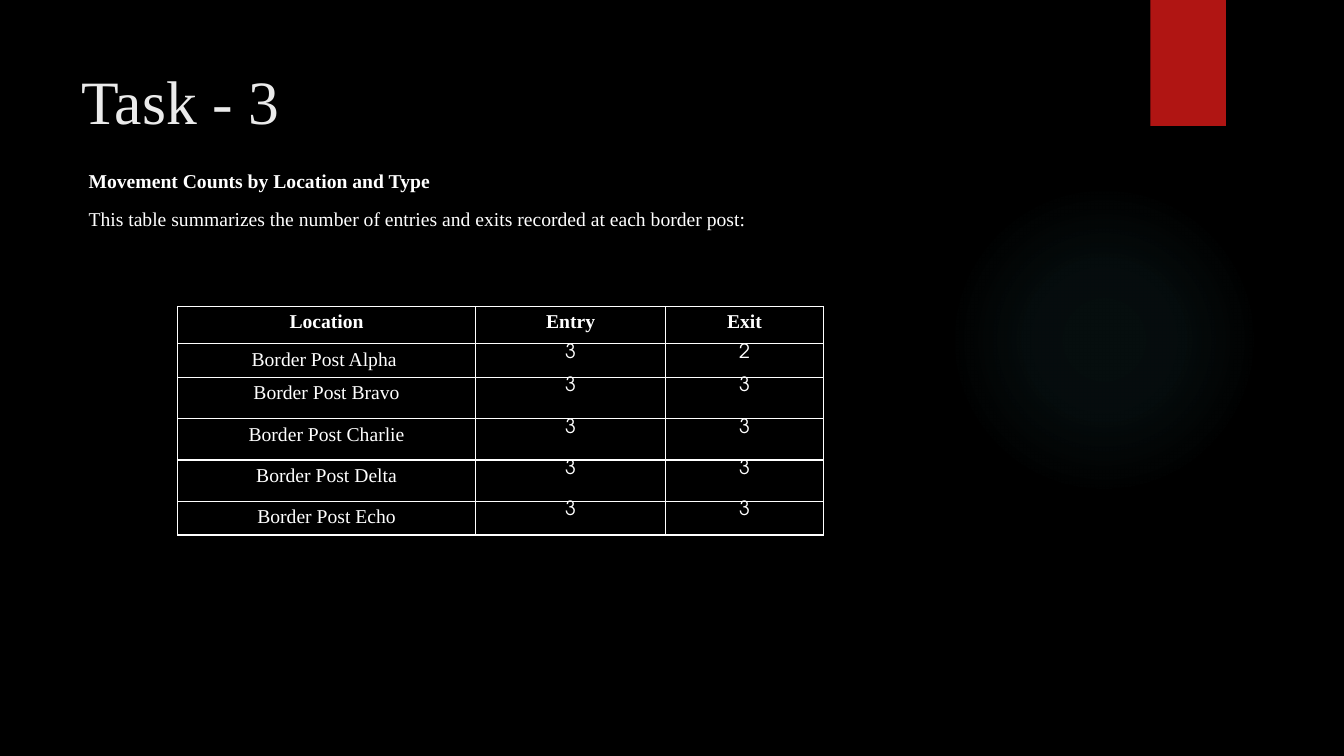
from lxml import etree
from pptx import Presentation
from pptx import util as u
from pptx.dml.color import RGBColor
from pptx.enum import shapes, text
from pptx.oxml import ns, parse_xml

SERIF, SANS = "Times New Roman", "TeX Gyre Adventor"
WHITE = "FFFFFF"
COLUMNS = [2.96, 1.88, 1.57]
ROWS = [0.37, 0.32, 0.41, 0.41, 0.41, 0.31]
COUNTS = [
    ("Location", "Entry", "Exit"),
    ("Border Post Alpha ", "3", "2"),
    ("Border Post Bravo", "3", "3"),
    ("Border Post Charlie", "3", "3"),
    ("Border Post Delta", "3", "3"),
    ("Border Post Echo", "3", "3"),
]


def color(value):
    """Turn a hex string into a colour."""
    return RGBColor.from_string(value)


def inches(box):
    """Convert a sequence of inches to lengths."""
    return [u.Inches(length) for length in box]


def format_object(target, values):
    """Set each attribute named in a dict of format values."""
    for name, value in values.items():
        setattr(target, name, value)


def write(paragraph, words, size, fill=WHITE, font=SERIF, bold=False):
    """Add one formatted run to a paragraph."""
    run = paragraph.add_run()
    run.text = words
    format_object(run.font, {"size": u.Pt(size), "name": font, "bold": bold})
    run.font.color.rgb = color(fill)


def add_plain_shape(slide, kind, box, fill):
    """Add a filled shape without line or shadow."""
    shape = slide.shapes.add_shape(kind, *inches(box))
    shape.shadow.inherit = False
    shape.line.fill.background()
    shape.fill.solid()
    shape.fill.fore_color.rgb = color(fill)
    return shape


def add_glow(slide, box, fill):
    """Add a round glow that fades towards its edge."""
    glow = add_plain_shape(slide, shapes.MSO_SHAPE.OVAL, box, fill)
    stops = "".join(
        f'<a:gs pos="{place * 1000}"><a:srgbClr val="{fill}">'
        f'<a:alpha val="{alpha * 1000}"/></a:srgbClr></a:gs>'
        for place, alpha in [(0, 7), (36, 6), (69, 0), (100, 0)]
    )
    gradient = parse_xml(
        f'<a:gradFill {ns.nsdecls("a")}><a:gsLst>{stops}</a:gsLst>'
        '<a:path path="circle"><a:fillToRect l="50000" t="50000" '
        'r="50000" b="50000"/></a:path></a:gradFill>'
    )
    properties = glow.element.spPr
    properties.replace(properties.find(ns.qn("a:solidFill")), gradient)


def add_title(slide, box, words):
    """Place and format the title placeholder."""
    title = slide.shapes.title
    title.left, title.top, title.width, title.height = inches(box)
    frame = title.text_frame
    format_object(frame, {"vertical_anchor": text.MSO_ANCHOR.MIDDLE, "word_wrap": True})
    paragraph = frame.paragraphs[0]
    paragraph.alignment = text.PP_ALIGN.LEFT
    write(paragraph, words, 44, "EBEBEB")


def add_introduction(slide, box, heading, sentence):
    """Add the bold heading and the sentence below it."""
    frame = slide.shapes.add_textbox(*inches(box)).text_frame
    frame.word_wrap = True
    write(frame.paragraphs[0], heading, 14, bold=True)
    paragraph = frame.add_paragraph()
    paragraph.space_before = u.Pt(10)
    write(paragraph, sentence, 14)


def add_borders(cell, fill, width):
    """Draw a solid line on all four sides of a cell."""
    properties = cell._tc.get_or_add_tcPr()
    for index, side in enumerate(["lnL", "lnR", "lnT", "lnB"]):
        line = etree.Element(ns.qn(f"a:{side}"), w=str(u.Pt(width)))
        solid = etree.SubElement(line, ns.qn("a:solidFill"))
        etree.SubElement(solid, ns.qn("a:srgbClr"), val=fill)
        properties.insert(index, line)


def add_counts(slide, left, top):
    """Add the table of entries and exits by location."""
    box = inches([left, top, sum(COLUMNS), sum(ROWS)])
    table = slide.shapes.add_table(len(ROWS), len(COLUMNS), *box).table
    format_object(table, {"first_row": False, "horz_banding": False})
    for column, width in zip(table.columns, inches(COLUMNS)):
        column.width = width
    for row, height, values in zip(table.rows, inches(ROWS), COUNTS):
        row.height = height
        for cell, value in zip(row.cells, values):
            number = value.isdigit()
            margin = u.Inches(0 if number else 0.05)
            format_object(cell, {"margin_top": margin, "margin_bottom": margin})
            cell.fill.background()
            add_borders(cell, WHITE, 1)
            paragraph = cell.text_frame.paragraphs[0]
            paragraph.alignment = text.PP_ALIGN.CENTER
            font = SANS if number else SERIF
            write(paragraph, value, 14, font=font, bold=values is COUNTS[0])


def main():
    """Build and save the slide."""
    presentation = Presentation()
    size = {"slide_width": u.Inches(13.33), "slide_height": u.Inches(7.5)}
    format_object(presentation, size)
    slide = presentation.slides.add_slide(presentation.slide_layouts[5])
    slide.background.fill.solid()
    slide.background.fill.fore_color.rgb = color("000000")
    add_glow(slide, (9.41, 1.83, 3.08, 3.08), "50B9C1")
    add_plain_shape(slide, shapes.MSO_SHAPE.RECTANGLE, (11.41, 0, 0.75, 1.25), "B01513")
    add_title(slide, (0.71, 0.5, 10.29, 0.98), "Task - 3")
    add_introduction(
        slide,
        (0.78, 1.63, 9.78, 5.15),
        "Movement Counts by Location and Type",
        "This table summarizes the number of entries and exits recorded at each border post:",
    )
    add_counts(slide, 1.76, 3.04)
    presentation.save("out.pptx")


if __name__ == "__main__":
    main()
